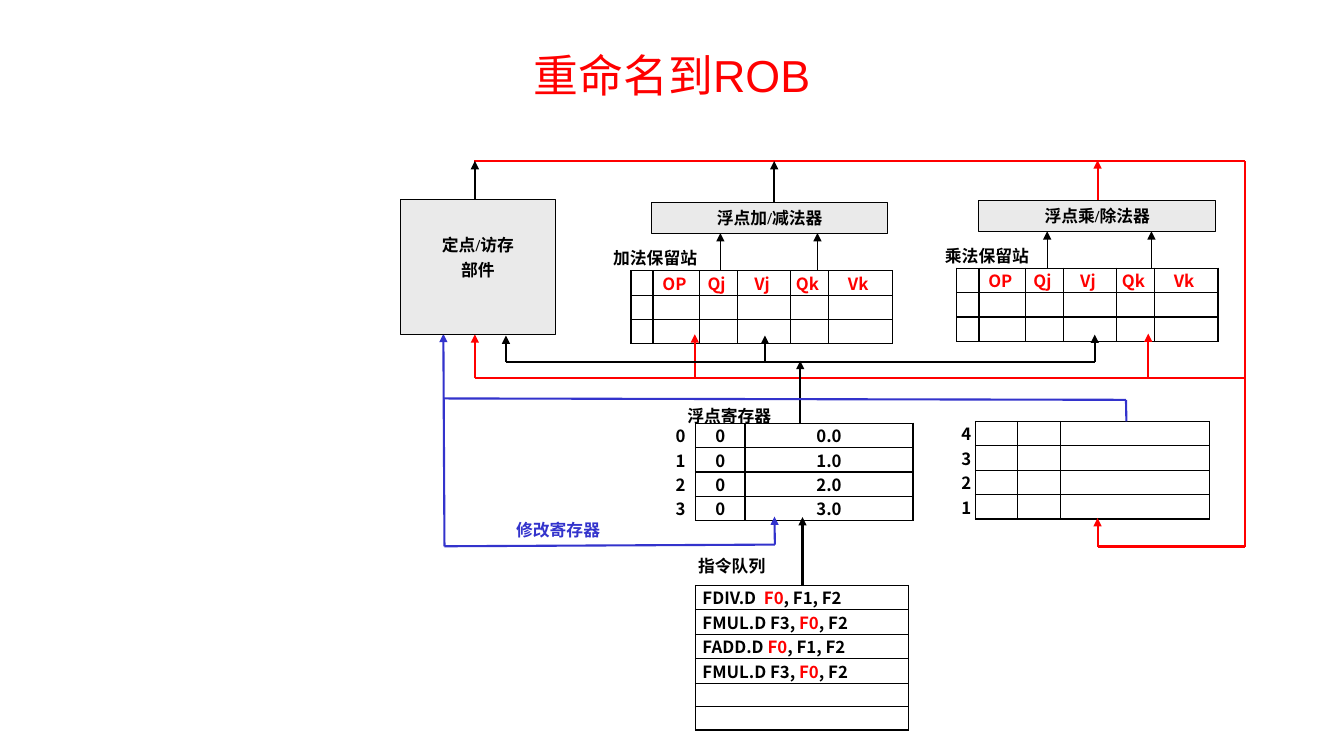
from dataclasses import dataclass
from itertools import pairwise

from pptx import Presentation
from pptx import util as u
from pptx.dml.color import RGBColor
from pptx.enum import shapes, text
from pptx.oxml import ns
from pptx.oxml import xmlchemy as xml

Pt = u.Pt
BLACK, RED, BLUE, GREY, WHITE = "000000", "FF0000", "3333CC", "EAEAEA", "FFFFFF"
SANS, SERIF = "Noto Sans CJK SC", "Times New Roman"
LEFT, CENTER, RIGHT = text.PP_ALIGN.LEFT, text.PP_ALIGN.CENTER, text.PP_ALIGN.RIGHT


@dataclass
class Grid:
    left: float
    top: float
    columns: list[float]
    row_height: float
    rows: list[list[str]]
    color: str = BLACK
    align: int = CENTER
    insets: tuple[float, float] = (7.2, 7.2)
    row_labels: bool = False


@dataclass
class Wire:
    color: str
    points: list[tuple[float, float]]
    arrow: bool = True
    width: float = 1.5


@dataclass
class Box:
    words: str
    left: float
    top: float
    width: float
    height: float
    color: str = BLACK
    fill: str = ""
    outlined: bool = False
    bottom_inset: float = 0


def rgb(value: str) -> RGBColor:
    return RGBColor.from_string(value)


def add_child(parent, tag: str, **attributes):
    child = xml.OxmlElement(tag)
    for name, value in attributes.items():
        child.set(name, str(value))
    parent.append(child)
    return child


def style_run(run, font: str, size: float, color: str, bold: bool = True) -> None:
    run.font.name = font
    run.font.size = Pt(size)
    run.font.bold = bold
    run.font.color.rgb = rgb(color)
    add_child(run.font._element, "a:ea", typeface=SANS)


def set_borders(cell, visible: str) -> None:
    properties = cell._tc.get_or_add_tcPr()
    for side in "LRTB":
        line = add_child(properties, f"a:ln{side}", w=Pt(1))
        if side in visible:
            fill = add_child(line, "a:solidFill")
            add_child(fill, "a:srgbClr", val=BLACK)
        else:
            add_child(line, "a:noFill")


def fill_cell(cell, words: str, grid: Grid, is_label: bool) -> None:
    cell.margin_left, cell.margin_right = map(Pt, grid.insets)
    cell.margin_top = cell.margin_bottom = 0
    set_borders(cell, "R" if is_label else "LRTB")
    cell.fill.background()
    paragraph = cell.text_frame.paragraphs[0]
    paragraph.alignment = RIGHT if is_label else grid.align
    if not words:
        add_child(paragraph._p, "a:endParaRPr", sz=1000)
        return
    # The renamed register F0 stands out in red
    for part in words.partition("F0"):
        if part:
            run = paragraph.add_run()
            run.text = part
            style_run(run, SANS, 12, RED if part == "F0" else grid.color)


def draw_grid(slide, grid: Grid) -> None:
    frame = slide.shapes.add_table(
        len(grid.rows), len(grid.columns), Pt(grid.left), Pt(grid.top),
        Pt(sum(grid.columns)), Pt(grid.row_height * len(grid.rows)))
    table = frame.table
    table.first_row = table.horz_banding = False
    for column, width in zip(table.columns, grid.columns):
        column.width = Pt(width)
    for r, row in enumerate(grid.rows):
        table.rows[r].height = Pt(grid.row_height)
        for c, words in enumerate(row):
            fill_cell(table.cell(r, c), words, grid, grid.row_labels and c == 0)


def draw_wire(slide, wire: Wire) -> None:
    for start, end in pairwise(wire.points):
        connector = slide.shapes.add_connector(
            shapes.MSO_CONNECTOR.STRAIGHT, *map(Pt, start + end))
        connector.line.color.rgb = rgb(wire.color)
        connector.line.width = Pt(wire.width)
        if wire.arrow and end == wire.points[-1]:
            add_child(connector.line._get_or_add_ln(), "a:tailEnd", type="triangle")
        add_child(connector._element.find(ns.qn("p:spPr")), "a:effectLst")


def draw_box(slide, box: Box) -> None:
    place = [Pt(n) for n in (box.left, box.top, box.width, box.height)]
    if box.fill:
        shape = slide.shapes.add_shape(shapes.MSO_SHAPE.RECTANGLE, *place)
        shape.shadow.inherit = False
        shape.fill.solid()
        shape.fill.fore_color.rgb = rgb(box.fill)
        if box.outlined:
            shape.line.color.rgb = rgb(BLACK)
            shape.line.width = Pt(0.75)
        else:
            shape.line.fill.background()
    else:
        shape = slide.shapes.add_textbox(*place)
    frame = shape.text_frame
    frame.word_wrap = True
    frame.vertical_anchor = text.MSO_ANCHOR.MIDDLE
    frame.margin_left = frame.margin_right = frame.margin_top = 0
    frame.margin_bottom = Pt(box.bottom_inset)
    frame.text = box.words
    for index, paragraph in enumerate(frame.paragraphs):
        paragraph.alignment = CENTER
        if index:
            paragraph.space_before = Pt(3.5)
        style_run(paragraph.runs[0], SERIF, 12, box.color)


def draw_title(slide, words: str) -> None:
    title = slide.shapes.title
    title.left, title.top, title.width, title.height = map(Pt, (72, 33, 816, 41))
    frame = title.text_frame
    frame.text = words
    frame.auto_size = text.MSO_AUTO_SIZE.NONE
    frame.vertical_anchor = text.MSO_ANCHOR.MIDDLE
    frame.paragraphs[0].alignment = CENTER
    style_run(frame.paragraphs[0].runs[0], "Arial", 32, RED, bold=False)


STATION_ROWS = [["", "OP", "Qj", "Vj", "Qk", "Vk"], [""] * 6, [""] * 6]
STATION_COLUMNS = [15.8, 33.4, 26.8, 38.2, 26.8, 45.6]
STATIONS = [Grid(left, top, STATION_COLUMNS, 17.4, STATION_ROWS, RED, insets=(0, 2.9))
            for left, top in ((450.7, 193.4), (683.5, 191.6))]

GRIDS = [
    # Floating-point registers, instruction queue, reorder buffer
    Grid(468, 302.3, [28.8, 35.4, 120], 17.4,
         [[str(n), "0", f"{n}.0"] for n in range(4)], row_labels=True),
    Grid(496.8, 418.2, [152], 16.8,
         [["FDIV.D  F0, F1, F2"], ["FMUL.D F3, F0, F2"], ["FADD.D F0, F1, F2"],
          ["FMUL.D F3, F0, F2"], [""], [""]], align=LEFT, insets=(5, 5)),
    Grid(679.4, 301, [17.3, 30.2, 30.4, 106.6], 17.4,
         [[str(n), "", "", ""] for n in (4, 3, 2, 1)],
         insets=(0, 3), row_labels=True),
    *STATIONS,
]

WIRES = [
    # Stations to their units
    *(Wire(BLACK, [(x, bottom), (x, top)], width=0.75)
      for x, bottom, top in ((514.6, 193, 166.5), (583.9, 193, 166.5),
                             (748, 191.6, 165.2), (822.5, 191.6, 165.2))),
    # Result bus into the reorder buffer
    Wire(RED, [(338.8, 115), (889.3, 115), (889.3, 390.4), (784, 390.4), (784, 370)]),
    Wire(BLACK, [(339.2, 144), (339.2, 115)]),
    Wire(BLACK, [(553, 144.7), (553, 115)]),
    Wire(RED, [(784, 143.3), (784, 114.5)]),
    # Result bus back to the operands
    Wire(RED, [(889.3, 270.2), (339.2, 270.2), (339.2, 238.8)]),
    Wire(RED, [(496.3, 270.2), (496.3, 238.8)]),
    Wire(RED, [(820.2, 270.2), (820.2, 238.3)]),
    # Register values to the operands
    Wire(BLACK, [(571.6, 303), (571.6, 257.8)]),
    Wire(BLACK, [(782, 258.6), (361.4, 258.6), (361.4, 239.7)]),
    Wire(BLACK, [(782, 258.6), (782, 239)]),
    Wire(BLACK, [(546.4, 258.6), (546.4, 239.7)]),
    Wire(BLACK, [(573.2, 418.2), (573.2, 369.4)]),
    # Commit path from the reorder buffer
    Wire(BLUE, [(804.6, 301), (804.3, 285.6), (316.5, 284.6)], arrow=False),
    Wire(BLUE, [(317.5, 390.2), (316.7, 238.5)]),
    Wire(BLUE, [(317.5, 390.2), (553.5, 389), (553.2, 369)]),
]

BOXES = [
    Box("加法保留站", 427, 177, 82, 14.4),
    Box("浮点寄存器", 478, 289.5, 86, 14.4),
    Box("乘法保留站", 664, 175.7, 82, 14.4),
    Box("修改寄存器", 355.7, 371, 86, 14.4, BLUE),
    Box("指令队列", 482, 397, 81.4, 14.4, fill=WHITE),
    Box("浮点加/减法器", 465.3, 144.7, 169, 22.2, fill=GREY, outlined=True),
    Box("浮点乘/除法器", 699.3, 143.3, 169, 22.2, fill=GREY, outlined=True),
    Box("定点/访存\n部件", 285.9, 142.3, 111, 96.6,
        fill=GREY, outlined=True, bottom_inset=14),
]


def main() -> None:
    presentation = Presentation()
    presentation.slide_width, presentation.slide_height = Pt(960), Pt(540)
    slide = presentation.slides.add_slide(presentation.slide_layouts[5])
    draw_title(slide, "重命名到ROB")
    for grid in GRIDS:
        draw_grid(slide, grid)
    for wire in WIRES:
        draw_wire(slide, wire)
    for box in BOXES:
        draw_box(slide, box)
    presentation.save("out.pptx")


if __name__ == "__main__":
    main()
